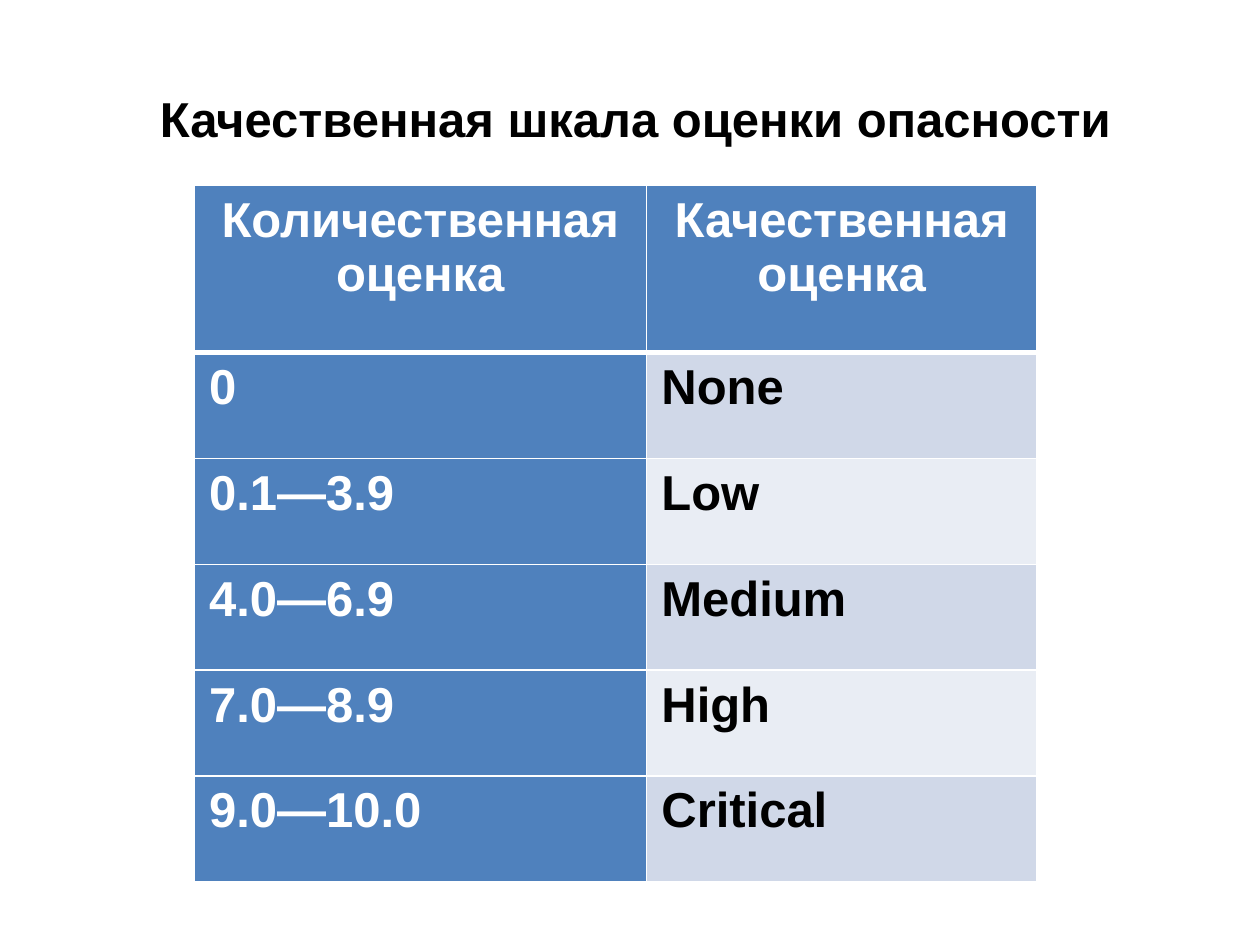
from dataclasses import dataclass

import pptx
import pptx.dml.color
import pptx.enum.text
import pptx.oxml
import pptx.oxml.ns
import pptx.util
from pptx.util import Inches

ALIGN = pptx.enum.text.PP_ALIGN


@dataclass(frozen=True)
class Theme:
    font: str = "Arial"
    size: int = 28
    paragraph_gap: int = 18
    dark: str = "000000"
    light: str = "FFFFFF"
    accent: str = "4F81BD"
    bands: tuple[str, str] = ("D0D8E8", "E9EDF4")
    thin_line: int = 1
    thick_line: int = 3


@dataclass(frozen=True)
class Rating:
    score: str
    level: str


THEME = Theme()
HEADER = Rating("Количественная оценка", "Качественная оценка")
RATINGS = [
    Rating("0", "None"),
    Rating("0.1—3.9", "Low"),
    Rating("4.0—6.9", "Medium"),
    Rating("7.0—8.9", "High"),
    Rating("9.0—10.0", "Critical"),
]
COLUMN_WIDTHS = (3.59, 3.1)
HEADER_HEIGHT, RATING_HEIGHT = 1.33, 0.84


def rgb(color: str) -> pptx.dml.color.RGBColor:
    return pptx.dml.color.RGBColor.from_string(color)


def add_bold_text(para, text: str, color: str) -> None:
    span = para.add_run()
    span.text = text
    span.font.name = THEME.font
    span.font.size = pptx.util.Pt(THEME.size)
    span.font.bold = True
    span.font.color.rgb = rgb(color)


def add_border(cell, side: str, width: int) -> None:
    """Line one side of a cell; side is L, R, T or B."""
    cell._tc.get_or_add_tcPr().append(pptx.oxml.parse_xml(
        f'<a:ln{side} {pptx.oxml.ns.nsdecls("a")} w="{pptx.util.Pt(width)}">'
        f'<a:solidFill><a:srgbClr val="{THEME.light}"/></a:solidFill></a:ln{side}>'
    ))


def fill_cell(cell, text: str, color: str, fill: str, align, top: int, bottom: int) -> None:
    cell.margin_left = cell.margin_right = Inches(0.12)
    cell.margin_top, cell.margin_bottom = Inches(0.06), Inches(0.09)
    thin = THEME.thin_line
    for side, width in (("L", thin), ("R", thin), ("T", top), ("B", bottom)):
        add_border(cell, side, width)
    cell.fill.solid()
    cell.fill.fore_color.rgb = rgb(fill)
    para = cell.text_frame.paragraphs[0]
    para.alignment = align
    para.space_after = pptx.util.Pt(THEME.paragraph_gap)
    add_bold_text(para, text, color)


def add_title(page, text: str) -> None:
    box = page.shapes.add_textbox(Inches(1.09), Inches(0.65), Inches(8.91), Inches(0.57))
    box.text_frame.word_wrap = True
    para = box.text_frame.paragraphs[0]
    para._p.get_or_add_pPr().set("marL", str(Inches(0.08)))
    add_bold_text(para, text, THEME.dark)


def add_rating_table(page, header: Rating, ratings: list[Rating]) -> None:
    height = HEADER_HEIGHT + RATING_HEIGHT * len(ratings)
    table = page.shapes.add_table(
        len(ratings) + 1, len(COLUMN_WIDTHS),
        Inches(1.54), Inches(1.47), Inches(sum(COLUMN_WIDTHS)), Inches(height),
    ).table
    table.horz_banding = False
    for column, width in zip(table.columns, COLUMN_WIDTHS):
        column.width = Inches(width)
    for index, rating in enumerate([header, *ratings]):
        is_header = index == 0
        table.rows[index].height = Inches(HEADER_HEIGHT if is_header else RATING_HEIGHT)
        align = ALIGN.CENTER if is_header else ALIGN.LEFT
        top = THEME.thick_line if index == 1 else THEME.thin_line
        bottom = THEME.thick_line if is_header else THEME.thin_line
        level_color = THEME.light if is_header else THEME.dark
        level_fill = THEME.accent if is_header else THEME.bands[(index - 1) % 2]
        fill_cell(table.cell(index, 0), rating.score, THEME.light, THEME.accent,
                  align, top, bottom)
        fill_cell(table.cell(index, 1), rating.level, level_color, level_fill,
                  align, top, bottom)


def main() -> None:
    deck = pptx.Presentation()
    deck.slide_width, deck.slide_height = Inches(10), Inches(7.5)
    page = deck.slides.add_slide(deck.slide_layouts[6])
    add_title(page, "Качественная шкала оценки опасности")
    add_rating_table(page, HEADER, RATINGS)
    deck.save("out.pptx")


if __name__ == "__main__":
    main()
